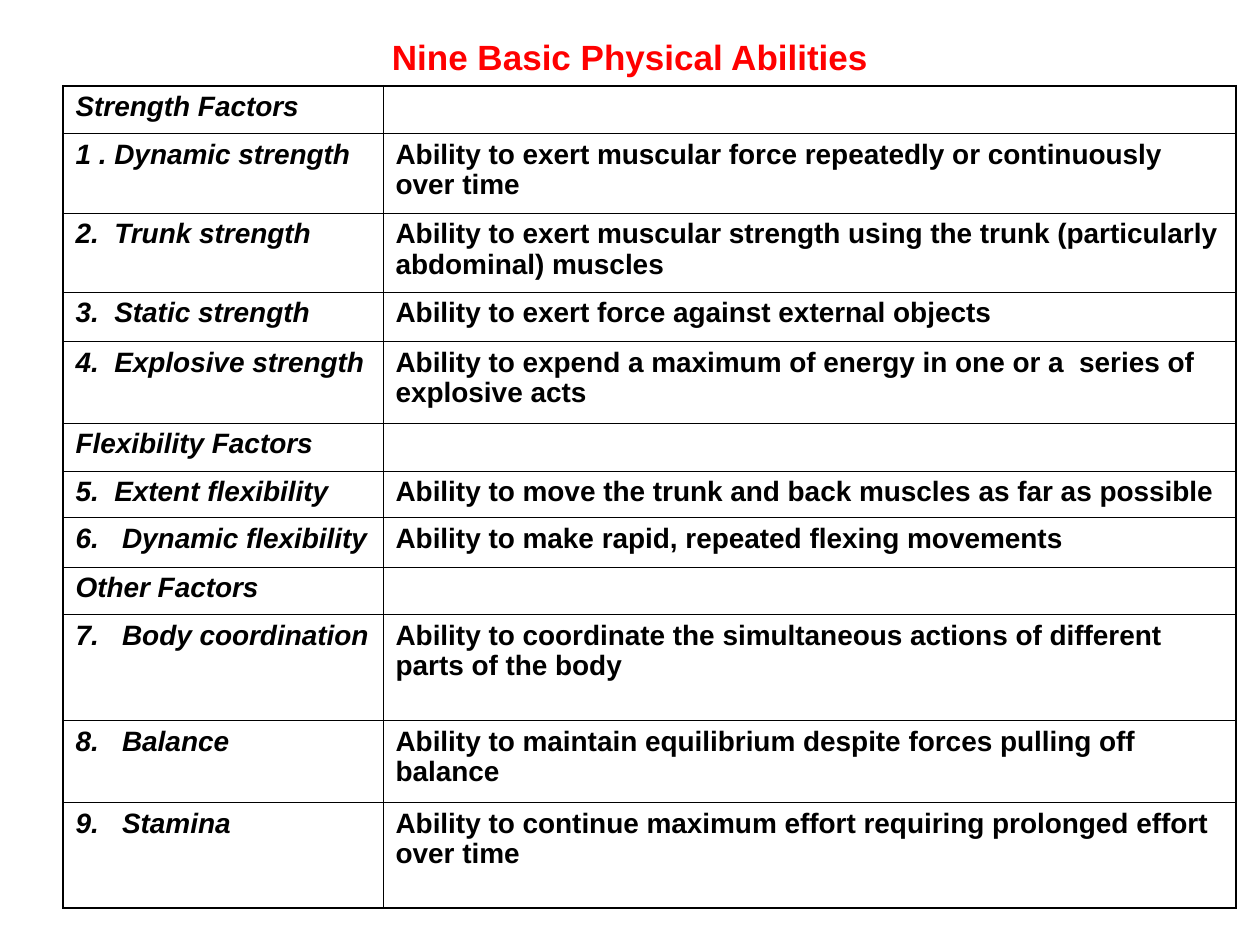
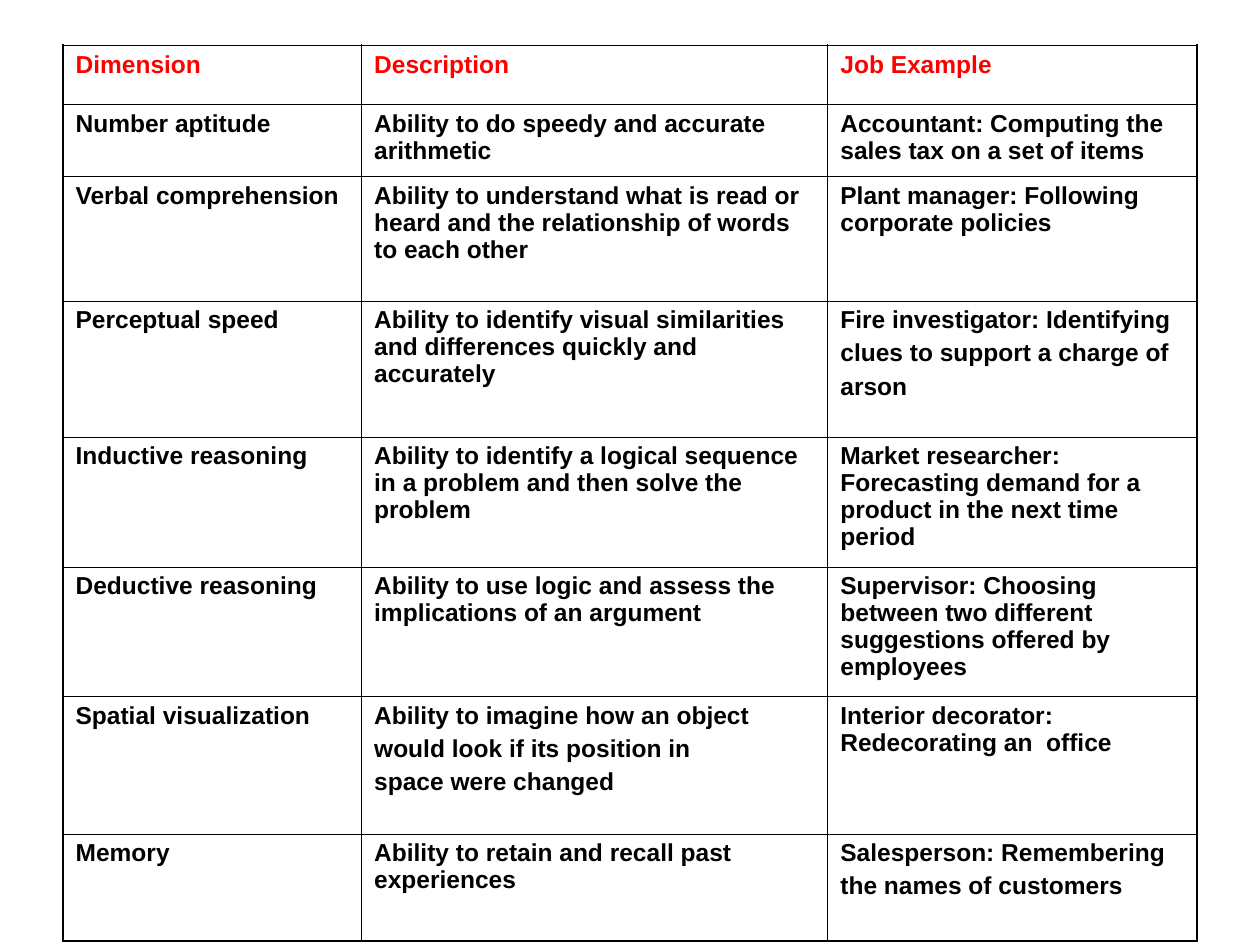
from lxml import etree
from pptx import Presentation, util as u
from pptx.dml.color import RGBColor
from pptx.enum import text
from pptx.oxml import ns

RED = RGBColor(0xFF, 0x00, 0x00)
BLACK = RGBColor(0x00, 0x00, 0x00)
FONT = "Arial"
OUTER, INNER = u.Pt(1.08), u.Pt(0.45)
LINE_SPACING = 0.98

PHYSICAL_ABILITIES = [
    ("Strength Factors", ""),
    ("1 . Dynamic strength", "Ability to exert muscular force repeatedly or continuously over time"),
    ("2.  Trunk strength", "Ability to exert muscular strength using the trunk (particularly abdominal) muscles"),
    ("3.  Static strength", "Ability to exert force against external objects"),
    ("4.  Explosive strength", "Ability to expend a maximum of energy in one or a  series of explosive acts"),
    ("Flexibility Factors", ""),
    ("5.  Extent flexibility", "Ability to move the trunk and back muscles as far as possible"),
    ("6.   Dynamic flexibility", "Ability to make rapid, repeated flexing movements"),
    ("Other Factors", ""),
    ("7.   Body coordination", "Ability to coordinate the simultaneous actions of different parts of the body"),
    ("8.   Balance", "Ability to maintain equilibrium despite forces pulling off balance"),
    ("9.   Stamina", "Ability to continue maximum effort requiring prolonged effort over time"),
]
PHYSICAL_HEIGHTS = [0.38, 0.63, 0.63, 0.39, 0.65, 0.38, 0.37, 0.39, 0.38, 0.84, 0.65, 0.84]

INTELLECTUAL_DIMENSIONS = [
    ("Dimension", "Description", "Job Example"),
    ("Number aptitude", "Ability to do speedy and accurate arithmetic",
     "Accountant: Computing the sales tax on a set of items"),
    ("Verbal comprehension",
     "Ability to understand what is read or heard and the relationship of words to each other",
     "Plant manager: Following corporate policies"),
    ("Perceptual speed", "Ability to identify visual similarities and differences quickly and accurately",
     "Fire investigator: Identifying\nclues to support a charge of\narson"),
    ("Inductive reasoning", "Ability to identify a logical sequence in a problem and then solve the problem",
     "Market researcher: Forecasting demand for a product in the next time period"),
    ("Deductive reasoning", "Ability to use logic and assess the implications of an argument",
     "Supervisor: Choosing between two different suggestions offered by employees"),
    ("Spatial visualization",
     "Ability to imagine how an object\nwould look if its position in\nspace were changed",
     "Interior decorator: Redecorating an  office"),
    ("Memory", "Ability to retain and recall past experiences",
     "Salesperson: Remembering\nthe names of customers"),
]
DIMENSION_HEIGHTS = [0.47, 0.57, 0.99, 1.08, 1.03, 1.03, 1.09, 0.85]


class Deck:
    """Holds the shared style and the slide being built."""

    def __init__(self):
        self.presentation = Presentation()
        self.presentation.slide_width = u.Inches(10)
        self.presentation.slide_height = u.Inches(7.5)
        self.slide = None

    def add_slide(self, layout_name):
        layout = self.presentation.slide_layouts.get_by_name(layout_name)
        self.slide = self.presentation.slides.add_slide(layout)

    def style(self, paragraph, size, color, italic=False):
        font = paragraph.font
        font.name, font.size, font.bold, font.italic = FONT, u.Pt(size), True, italic
        font.color.rgb = color

    def title(self, wording):
        heading = self.slide.shapes.title
        heading.left, heading.top = u.Inches(0.5), u.Inches(0.3)
        heading.width, heading.height = u.Inches(9), u.Inches(0.3)
        frame = heading.text_frame
        frame.text = wording
        frame.auto_size = text.MSO_AUTO_SIZE.NONE
        frame.vertical_anchor = text.MSO_ANCHOR.MIDDLE
        frame.paragraphs[0].alignment = text.PP_ALIGN.CENTER
        self.style(frame.paragraphs[0], 20, RED)

    def borders(self, cell, **widths):
        properties = cell._tc.get_or_add_tcPr()
        for side, width in widths.items():
            line = etree.SubElement(properties, ns.qn(f"a:ln{side}"), w=str(width))
            fill = etree.SubElement(line, ns.qn("a:solidFill"))
            etree.SubElement(fill, ns.qn("a:srgbClr"), val=str(BLACK))

    def table(self, rows, top, widths, heights, size, space, header=False, italic_labels=False):
        grid = self.slide.shapes.add_table(
            len(rows), len(widths), u.Inches(0.5), u.Inches(top),
            u.Inches(sum(widths)), u.Inches(sum(heights))).table
        grid.first_row = grid.horz_banding = False
        for column, width in zip(grid.columns, widths):
            column.width = u.Inches(width)
        for row, height in zip(grid.rows, heights):
            row.height = u.Inches(height)
        last_row, last_column = len(rows) - 1, len(widths) - 1
        for r, entries in enumerate(rows):
            for c, entry in enumerate(entries):
                cell = grid.cell(r, c)
                cell.text = entry
                self.borders(cell,
                             L=OUTER if c == 0 else INNER,
                             R=OUTER if c == last_column else INNER,
                             T=OUTER if r == 0 else INNER,
                             B=OUTER if r == last_row else INNER)
                cell.fill.background()
                color = RED if header and r == 0 else BLACK
                for index, paragraph in enumerate(cell.text_frame.paragraphs):
                    paragraph.line_spacing = LINE_SPACING
                    paragraph.space_before = u.Pt(space if index else 0)
                    self.style(paragraph, size, color, italic_labels and c == 0)


def main():
    deck = Deck()

    deck.add_slide("Title Only")
    deck.title("Nine Basic Physical Abilities")
    deck.table(PHYSICAL_ABILITIES, 0.68, [2.54, 6.77], PHYSICAL_HEIGHTS,
               size=16, space=4, italic_labels=True)

    deck.add_slide("Blank")
    deck.table(INTELLECTUAL_DIMENSIONS, 0.36, [2.37, 3.7, 2.93], DIMENSION_HEIGHTS,
               size=14, space=3.5, header=True)

    deck.presentation.save("out.pptx")


if __name__ == "__main__":
    main()
